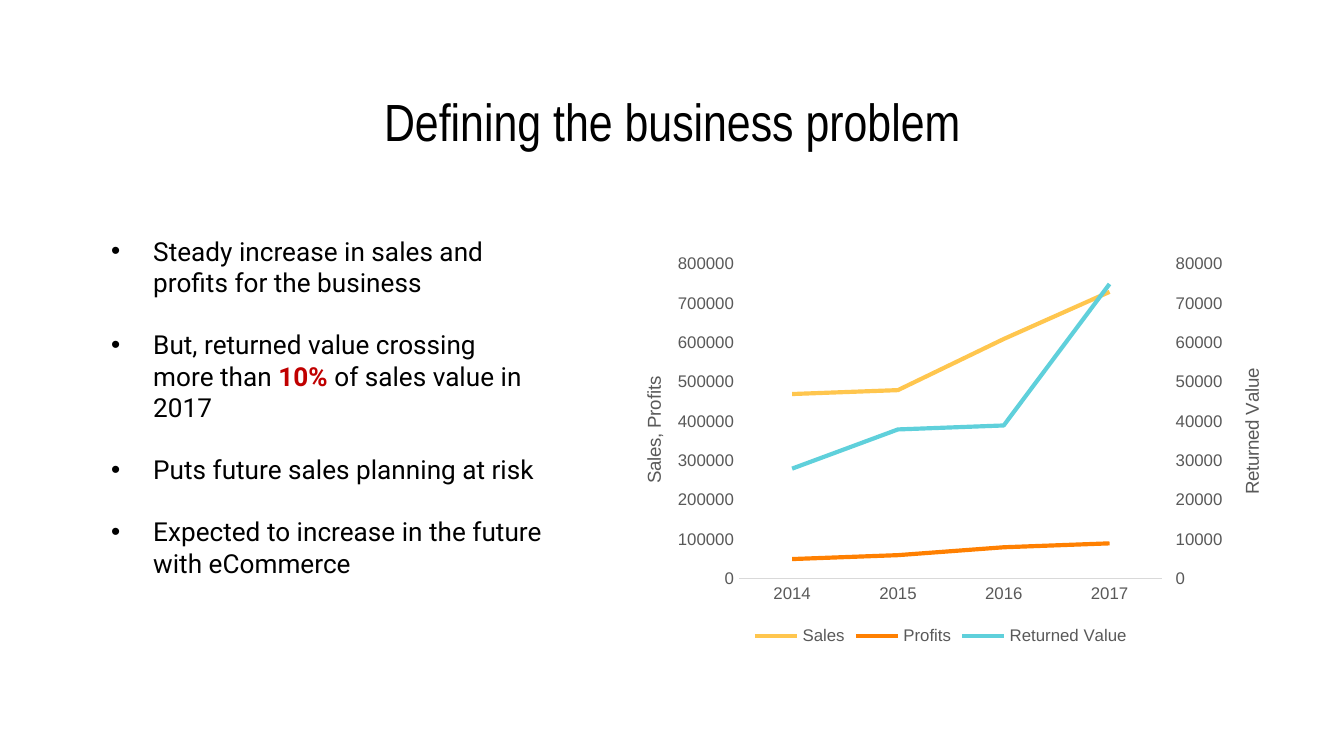
import copy

import pptx
import pptx.chart.axis
import pptx.chart.data
import pptx.dml.color
import pptx.enum.chart
import pptx.enum.text
import pptx.oxml
import pptx.oxml.ns
import pptx.util

Pt = pptx.util.Pt
qn = pptx.oxml.ns.qn
ALIGN = pptx.enum.text.PP_ALIGN
TICK = pptx.enum.chart.XL_TICK_MARK

BLACK, GRAY, PALE, RED = "000000", "595959", "D9D9D9", "C00000"
BULLETS = [
    [("Steady increase in sales and profits for the business", {})],
    [
        ("But, returned value crossing more than ", {}),
        ("10% ", {"color": RED, "bold": True}),
        ("of sales value in 2017", {}),
    ],
    [("Puts future sales planning at risk", {})],
    [("Expected to increase in the future with eCommerce", {})],
]
YEARS = ["2014", "2015", "2016", "2017"]
SERIES = [
    ("Sales", [470000, 480000, 610000, 730000], "FFC64E"),
    ("Profits", [50000, 60000, 80000, 90000], "FF8001"),
    ("Returned Value", [28000, 38000, 39000, 75000], "5FD0DB"),
]


def rgb(value):
    return pptx.dml.color.RGBColor.from_string(value)


def apply(target, values):
    for name, value in values.items():
        setattr(target, name, value)


def set_child(element, tag, value):
    element.find(qn(tag)).set("val", str(value))


def set_layout(parent, inner=False, **edges):
    layout = parent.find(qn("c:layout"))
    if layout is None:
        layout = pptx.oxml.parse_xml(f"<c:layout {pptx.oxml.ns.nsdecls('c')}/>")
        parent.insert(0, layout)
    for child in list(layout):
        layout.remove(child)
    values = {"layoutTarget": "inner"} if inner else {}
    values |= {"xMode": "edge", "yMode": "edge"} | edges
    manual = layout.makeelement(qn("c:manualLayout"), {})
    layout.append(manual)
    for name, value in values.items():
        manual.append(manual.makeelement(qn(f"c:{name}"), {"val": str(value)}))


class SlideBuilder:
    def __init__(self, slide):
        self.slide = slide
        self.body = {"name": "Roboto", "size": Pt(14), "color": BLACK}
        self.heading = {"name": "Arial Narrow", "size": Pt(28), "color": BLACK}
        self.label = {"name": "Arial", "size": Pt(9), "color": GRAY}

    def font(self, font, style):
        values = dict(style)
        font.color.rgb = rgb(values.pop("color"))
        apply(font, values)

    def frame(self, left, top, width, height):
        shape = self.slide.shapes.add_textbox(Pt(left), Pt(top), Pt(width), Pt(height))
        apply(shape.text_frame, {
            "word_wrap": True,
            "vertical_anchor": pptx.enum.text.MSO_ANCHOR.MIDDLE,
            "margin_left": Pt(7.2), "margin_right": Pt(7.2),
            "margin_top": Pt(7.2), "margin_bottom": Pt(7.2),
        })
        return shape.text_frame

    def title(self, text, *box):
        paragraph = self.frame(*box).paragraphs[0]
        paragraph.alignment = ALIGN.CENTER
        run = paragraph.add_run()
        run.text = text
        self.font(run.font, self.heading)

    def bullets(self, items, *box):
        frame = self.frame(*box)
        for index, runs in enumerate(items):
            paragraph = frame.add_paragraph() if index else frame.paragraphs[0]
            apply(paragraph, {"alignment": ALIGN.LEFT, "space_before": Pt(16.5 if index else 0)})
            properties = paragraph._p.get_or_add_pPr()
            properties.set("marL", str(Pt(22.5)))
            properties.set("indent", str(-Pt(22.5)))
            for tag, attributes in (("a:buFont", {"typeface": "Arial"}), ("a:buChar", {"char": "•"})):
                properties.append(properties.makeelement(qn(tag), attributes))
            for text, changes in runs:
                run = paragraph.add_run()
                run.text = text
                self.font(run.font, self.body | changes)

    def axis_title(self, axis, text, x, y):
        frame = axis.axis_title.text_frame
        frame.text = text
        self.font(frame.paragraphs[0].runs[0].font, self.label | {"size": Pt(10), "bold": False})
        frame._txBody.bodyPr.set("rot", "-5400000")
        frame._txBody.bodyPr.set("vert", "horz")
        set_layout(axis.axis_title._element, x=x, y=y)

    def right_axis(self, chart):
        plot_area = chart._chartSpace.chart.plotArea
        left_plot = plot_area.find(qn("c:lineChart"))
        right_plot = copy.deepcopy(left_plot)
        left_plot.remove(left_plot.findall(qn("c:ser"))[-1])
        for series in right_plot.findall(qn("c:ser"))[:-1]:
            right_plot.remove(series)
        left_plot.addnext(right_plot)

        category = copy.deepcopy(chart.category_axis._element)
        value = copy.deepcopy(chart.value_axis._element)
        chart.value_axis._element.addnext(value)
        value.addnext(category)
        for element, own, other in ((category, 101, 102), (value, 102, 101)):
            set_child(element, "c:axId", own)
            set_child(element, "c:crossAx", other)
        for reference, number in zip(right_plot.findall(qn("c:axId")), (101, 102)):
            reference.set("val", str(number))
        set_child(category, "c:delete", 1)
        set_child(value, "c:axPos", "r")
        set_child(value, "c:crosses", "max")
        return pptx.chart.axis.ValueAxis(value)

    def line_chart(self, categories, rows, *box):
        data = pptx.chart.data.CategoryChartData(number_format="0")
        data.categories = categories
        for name, values, color in rows:
            data.add_series(name, values)
        chart = self.slide.shapes.add_chart(
            pptx.enum.chart.XL_CHART_TYPE.LINE, *map(Pt, box), data
        ).chart
        self.font(chart.font, self.label)
        apply(chart, {"has_title": False, "has_legend": True})
        apply(chart.legend, {
            "position": pptx.enum.chart.XL_LEGEND_POSITION.BOTTOM,
            "include_in_layout": False,
        })
        self.font(chart.legend.font, self.label)
        chart.plots[0].vary_by_categories = False
        for series, (name, values, color) in zip(chart.plots[0].series, rows):
            series.smooth = False
            series.format.line.width = Pt(2.25)
            series.format.line.color.rgb = rgb(color)

        for axis in (chart.category_axis, chart.value_axis):
            apply(axis, {
                "has_major_gridlines": False,
                "major_tick_mark": TICK.NONE,
                "minor_tick_mark": TICK.NONE,
            })
            self.font(axis.tick_labels.font, self.label)
        chart.category_axis.format.line.color.rgb = rgb(PALE)
        chart.category_axis.format.line.width = Pt(0.75)
        left = chart.value_axis
        left.format.line.fill.background()
        apply(left.tick_labels, {"number_format": "0", "number_format_is_linked": False})
        right = self.right_axis(chart)
        right.major_tick_mark = TICK.OUTSIDE
        for axis, maximum in ((left, 800000), (right, 80000)):
            apply(axis, {"minimum_scale": 0, "maximum_scale": maximum, "major_unit": maximum / 8})
        self.axis_title(left, "Sales, Profits", 0.05, 0.31)
        self.axis_title(right, "Returned Value", 0.94, 0.29)
        set_layout(chart._chartSpace.chart.plotArea, inner=True, x=0.2, y=0.04, w=0.63, h=0.78)


def main():
    presentation = pptx.Presentation()
    apply(presentation, {"slide_width": Pt(720), "slide_height": Pt(405)})
    builder = SlideBuilder(presentation.slides.add_slide(presentation.slide_layouts[6]))
    builder.title("Defining the business problem", 36, 45.5, 648, 38)
    builder.line_chart(YEARS, SERIES, 324, 133, 360, 216)
    builder.bullets(BULLETS, 52.5, 110, 245, 216)
    presentation.save("out.pptx")


if __name__ == "__main__":
    main()
